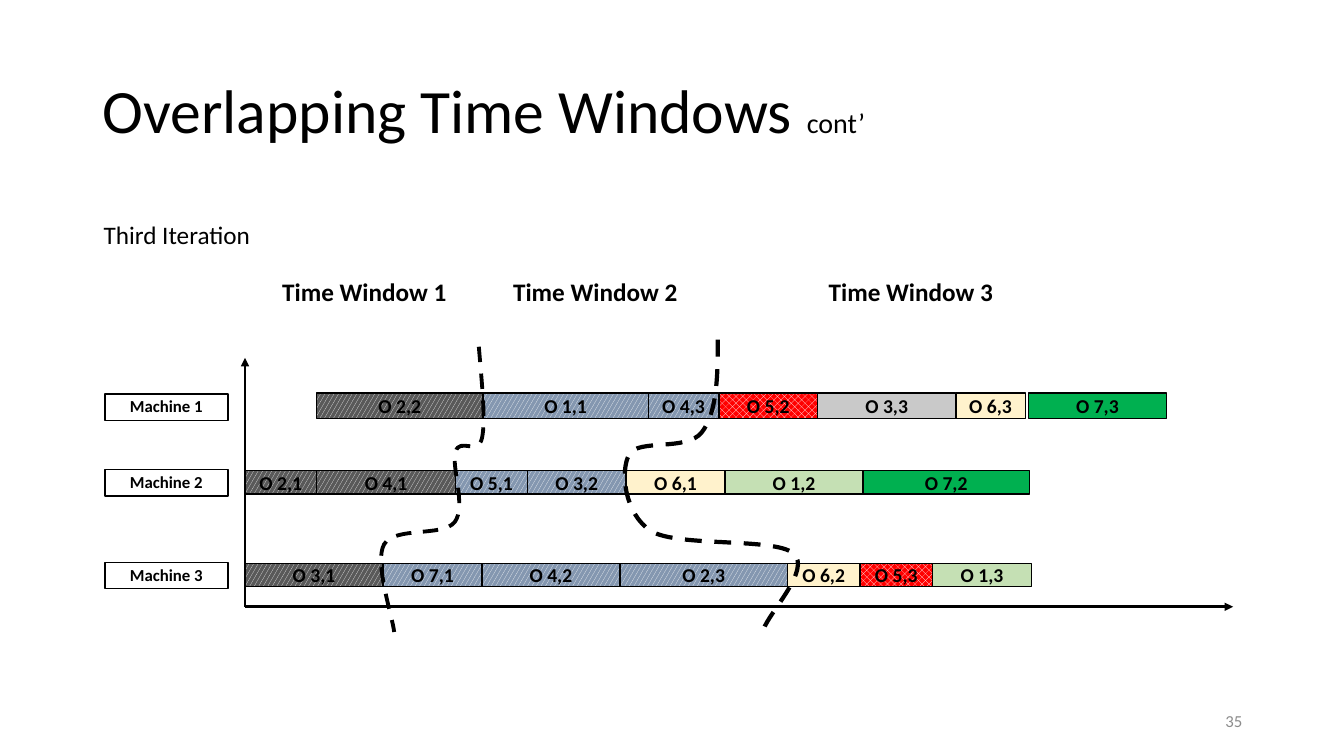
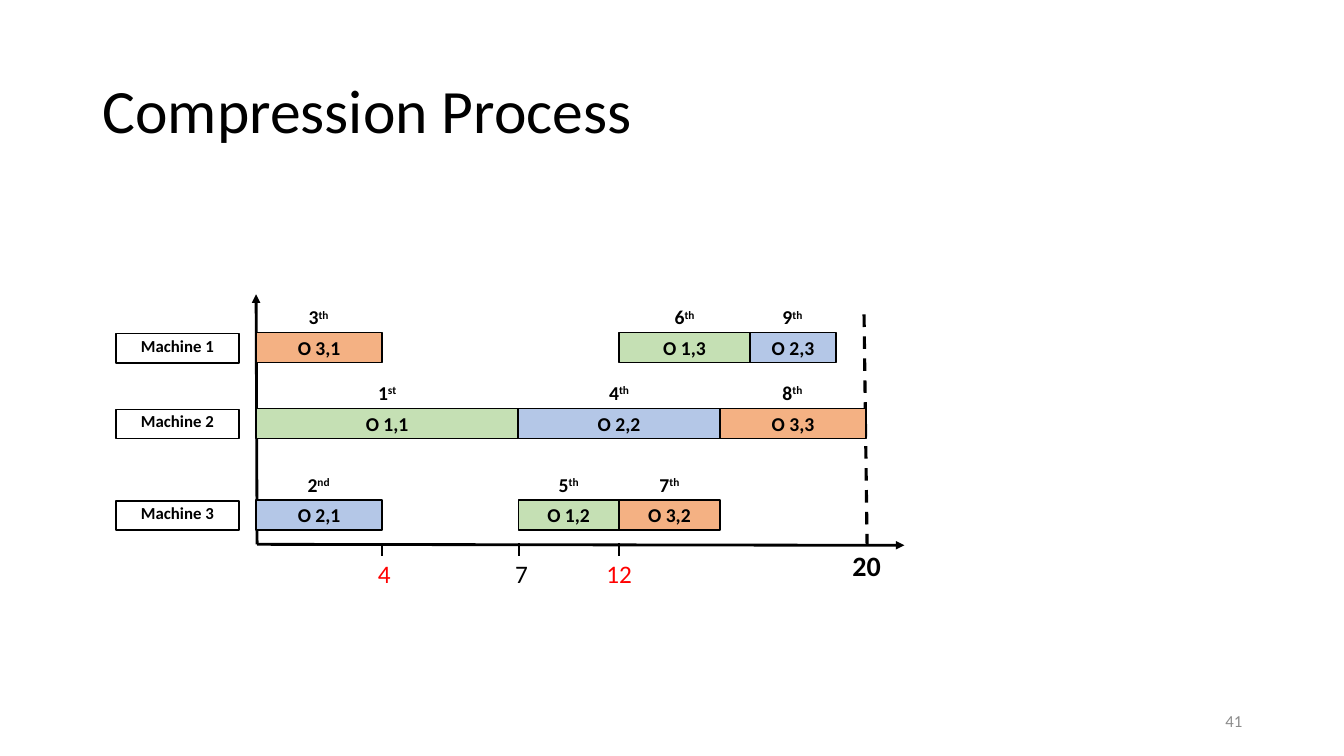
from dataclasses import dataclass

from lxml.etree import SubElement
from pptx import Presentation
from pptx.dml.color import RGBColor
from pptx.enum.dml import MSO_LINE, MSO_PATTERN
from pptx.enum.shapes import MSO_CONNECTOR, MSO_SHAPE
from pptx.enum.text import MSO_ANCHOR, PP_ALIGN
from pptx.oxml.ns import qn

PX = 9144  # 100 px to the inch
PT = 12700


@dataclass(frozen=True)
class Theme:
    font: str = "Calibri"
    ink: str = "000000"
    paper: str = "FFFFFF"
    muted: str = "8C8C8C"
    alert: str = "FF0000"
    title_size: int = 44
    large_size: int = 20
    heading_size: int = 18
    bar_size: int = 14
    small_size: int = 12


theme = Theme()

# Bar fills: colour and, where there is one, the pattern drawn over it
FILLS = {
    "window 1": ("595959", MSO_PATTERN.LARGE_CONFETTI),
    "window 2": ("8497B0", MSO_PATTERN.LARGE_CONFETTI),
    "late": ("FF0000", MSO_PATTERN.PERCENT_50),
    "green": ("C5E0B4", None),
    "grey": ("C9C9C9", None),
    "cream": ("FFF2CC", None),
    "emerald": ("00B050", None),
    "orange": ("F4B183", None),
    "blue": ("B4C7E7", None),
}

# Rows: label top, bar top, bar height, bars. Bars follow one another:
# (operation, width, fill, rank); no operation means idle time
overlap = {
    "title": "Overlapping Time Windows ", "suffix": "cont’", "page": "35",
    "bars_left": 243, "origin": (243, 602), "axis_ends": [(243, 355), (1223, 602)],
    "label_height": 26,
    "rows": [
        (391, 390, 25, [("", 71, "", ""), ("O 2,2", 165, "window 1", ""),
                        ("O 1,1", 164, "window 2", ""), ("O 4,3", 70, "window 2", ""),
                        ("O 5,2", 98, "late", ""), ("O 3,3", 137, "grey", ""),
                        ("O 6,3", 69, "cream", ""), ("", 3, "", ""),
                        ("O 7,3", 137, "emerald", "")]),
        (466, 467, 23, [("O 2,1", 71, "window 1", ""), ("O 4,1", 138, "window 1", ""),
                        ("O 5,1", 71, "window 2", ""), ("O 3,2", 98, "window 2", ""),
                        ("O 6,1", 98, "cream", ""), ("O 1,2", 137, "green", ""),
                        ("O 7,2", 165, "emerald", "")]),
        (558, 559, 23, [("O 3,1", 137, "window 1", ""), ("O 7,1", 98, "window 2", ""),
                        ("O 4,2", 137, "window 2", ""), ("O 2,3", 166, "window 2", ""),
                        ("O 6,2", 72, "cream", ""), ("O 5,3", 72, "late", ""),
                        ("O 1,3", 98, "green", "")]),
    ],
    "captions": [("Third Iteration", (93, 213, 196, 40), False)] + [
        (f"Time Window {number}", (left, 269, 185, 40), True)
        for number, left in enumerate((270, 499, 812), 1)],
    # Window borders: line width, then a start point and cubic curves
    "borders": [
        (2.75, (475, 344), [((478, 381), (482, 418), (478, 435)),
                            ((474, 452), (456, 434), (452, 448)),
                            ((447, 462), (463, 502), (451, 518)),
                            ((439, 533), (392, 522), (381, 540)),
                            ((371, 558), (389, 610), (391, 627))]),
        (3, (712, 337), [((712, 374), (711, 410), (696, 429)),
                         ((681, 448), (632, 435), (624, 451)),
                         ((615, 467), (619, 510), (646, 527)),
                         ((673, 543), (768, 533), (787, 549)),
                         ((805, 565), (763, 607), (757, 625))]),
    ],
    "ticks": [],
}
compression = {
    "title": "Compression Process", "suffix": "", "page": "41",
    "bars_left": 254, "origin": (255, 540), "axis_ends": [(254, 292), (897, 541)],
    "label_height": 29,
    "rows": [
        (331, 330, 30, [("O 3,1", 125, "orange", "3th"), ("", 235, "", ""),
                        ("O 1,3", 130, "green", "6th"), ("O 2,3", 85, "blue", "9th")]),
        (406, 405, 30, [("O 1,1", 260, "green", "1st"), ("O 2,2", 200, "blue", "4th"),
                        ("O 3,3", 145, "orange", "8th")]),
        (497, 496, 30, [("O 2,1", 125, "blue", "2nd"), ("", 135, "", ""),
                        ("O 1,2", 100, "green", "5th"), ("O 3,2", 100, "orange", "7th")]),
    ],
    "captions": [],
    "borders": [],
    # Time, position, label width, colour
    "ticks": [("4", 379, 28, theme.alert), ("7", 515, 28, theme.ink),
              ("12", 614, 58, theme.alert)],
    "finish": ("20", (857, 312), (860, 541)),
}


def write(holder, text, size, bold=False, color=theme.ink, align=PP_ALIGN.CENTER,
          anchor=MSO_ANCHOR.MIDDLE, wrap=True):
    """Fill a shape or text box with one line of text and return its paragraph."""
    frame = holder.text_frame
    frame.word_wrap = wrap
    frame.vertical_anchor = anchor
    paragraph = frame.paragraphs[0]
    paragraph.alignment = align
    paragraph.font.name = theme.font
    paragraph.font.size = size * PT
    paragraph.font.bold = bold
    paragraph.font.color.rgb = RGBColor.from_string(color)
    paragraph.add_run().text = text
    return paragraph


def draw_line(slide, start, end, width, arrow=False, dashed=False):
    connector = slide.shapes.add_connector(
        MSO_CONNECTOR.STRAIGHT, *(value * PX for value in (*start, *end)))
    connector.line.color.rgb = RGBColor.from_string(theme.ink)
    connector.line.width = int(width * PT)
    if dashed:
        connector.line.dash_style = MSO_LINE.DASH
    properties = connector._element.spPr
    if arrow:
        SubElement(properties.find(qn("a:ln")), qn("a:tailEnd"), type="triangle")
    SubElement(properties, qn("a:effectLst"))


deck = Presentation()
deck.slide_width, deck.slide_height = 1333 * PX, 750 * PX

for schedule in (overlap, compression):
    slide = deck.slides.add_slide(deck.slide_layouts[6])
    shapes = slide.shapes

    # Title and page number
    heading = shapes.add_textbox(92 * PX, 40 * PX, 1150 * PX, 145 * PX)
    title = write(heading, schedule["title"], theme.title_size, align=PP_ALIGN.LEFT)
    title.line_spacing = 0.9
    if schedule["suffix"]:
        suffix = title.add_run()
        suffix.text = schedule["suffix"]
        suffix.font.size = theme.large_size * PT
    page = shapes.add_textbox(942 * PX, 695 * PX, 300 * PX, 40 * PX)
    write(page, schedule["page"], theme.small_size, color=theme.muted, align=PP_ALIGN.RIGHT)

    for caption, box, bold in schedule["captions"]:
        caption_box = shapes.add_textbox(*(value * PX for value in box))
        write(caption_box, caption, theme.heading_size, bold, align=PP_ALIGN.LEFT,
              anchor=MSO_ANCHOR.TOP, wrap=not bold)

    # Axes, time marks and finish line
    origin = schedule["origin"]
    base = origin[1]
    for axis_end in schedule["axis_ends"]:
        draw_line(slide, origin, axis_end, 2, arrow=True)
    for time, x, width, color in schedule["ticks"]:
        draw_line(slide, (x, base - 1), (x, base + 12), 1.5)
        mark = shapes.add_shape(MSO_SHAPE.RECTANGLE, (x - width // 2) * PX,
                                (base + 13) * PX, width * PX, 31 * PX)
        mark.fill.background()
        mark.line.color.rgb = RGBColor.from_string(theme.paper)
        mark.line.width = PT
        mark.shadow.inherit = False
        write(mark, time, theme.heading_size, color=color)
    if "finish" in schedule:
        time, top, foot = schedule["finish"]
        draw_line(slide, top, foot, 2.25, dashed=True)
        mark = shapes.add_textbox((foot[0] - 25) * PX, (base - 1) * PX, 49 * PX, 44 * PX)
        write(mark, time, theme.large_size, bold=True, anchor=MSO_ANCHOR.TOP, wrap=False)

    # One row of bars for each machine
    left = schedule["bars_left"]
    label_height = schedule["label_height"]
    for number, (label_top, y, height, bars) in enumerate(schedule["rows"], 1):
        machine = shapes.add_group_shape().shapes
        frame = machine.add_shape(MSO_SHAPE.RECTANGLE, (left - 139) * PX, label_top * PX,
                                  122 * PX, label_height * PX)
        frame.fill.background()
        frame.line.color.rgb = RGBColor.from_string(theme.ink)
        frame.line.width = PT
        frame.shadow.inherit = False
        label = machine.add_textbox((left - 139) * PX, (label_top - 3) * PX,
                                    122 * PX, (label_height + 5) * PX)
        write(label, f"Machine {number}", theme.small_size, bold=True, anchor=MSO_ANCHOR.TOP)

        x = left
        for operation, width, fill_name, rank in bars:
            if operation:
                bar = shapes.add_shape(MSO_SHAPE.RECTANGLE, x * PX, y * PX,
                                       width * PX, height * PX)
                color, pattern = FILLS[fill_name]
                if pattern:
                    bar.fill.patterned()
                    bar.fill.pattern = pattern
                    bar.fill.fore_color.rgb = RGBColor.from_string(theme.paper)
                    bar.fill.back_color.rgb = RGBColor.from_string(color)
                else:
                    bar.fill.solid()
                    bar.fill.fore_color.rgb = RGBColor.from_string(color)
                bar.line.color.rgb = RGBColor.from_string(theme.ink)
                bar.line.width = PT
                bar.shadow.inherit = False
                write(bar, operation, theme.bar_size, bold=True)
            if rank:
                rank_box = shapes.add_textbox((x + width // 2 - 21) * PX, (y - 32) * PX,
                                              42 * PX, 34 * PX)
                ending = write(rank_box, rank[0], theme.bar_size, bold=True,
                               anchor=MSO_ANCHOR.TOP, wrap=False).add_run()
                ending.text = rank[1:]
                ending._r.get_or_add_rPr().set("baseline", "30000")
            x += width

    # Curved borders between time windows
    for width, start, curves in schedule["borders"]:
        ends = [curve[-1] for curve in curves]
        outline = shapes.build_freeform(*start, scale=PX)
        outline.add_line_segments(ends, close=False)
        border = outline.convert_to_shape()
        corner_x, corner_y = (min(axis) for axis in zip(start, *ends))
        segments = list(border._element.iter(qn("a:lnTo")))
        for segment, (*controls, _) in zip(segments, curves):
            segment.tag = qn("a:cubicBezTo")
            for position, (x, y) in enumerate(controls):
                SubElement(segment, qn("a:pt"), x=str(x - corner_x), y=str(y - corner_y))
                segment.insert(position, segment[-1])
        border.fill.background()
        border.line.color.rgb = RGBColor.from_string(theme.ink)
        border.line.width = int(width * PT)
        border.line.dash_style = MSO_LINE.DASH
        border.shadow.inherit = False

deck.save("out.pptx")
